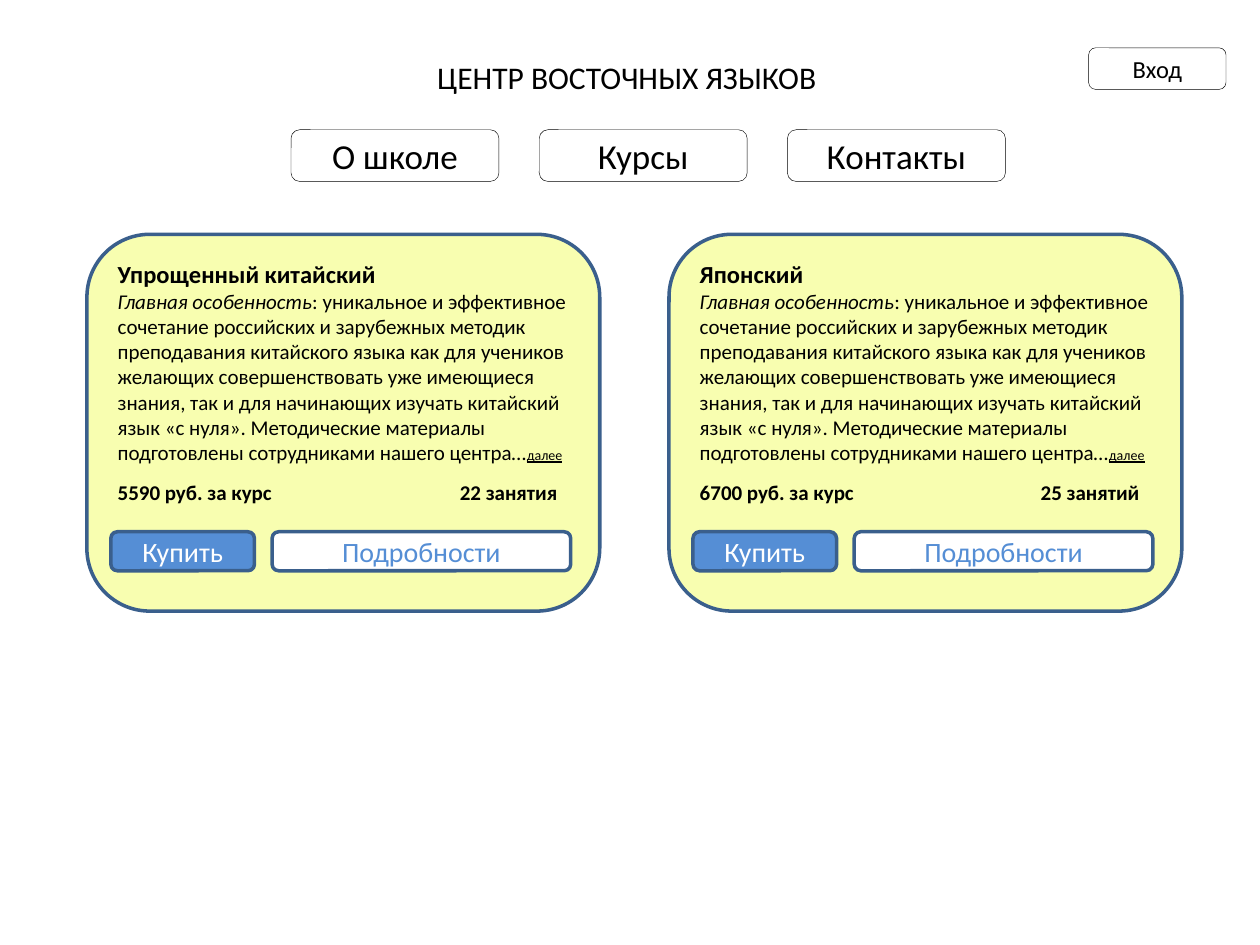
from dataclasses import dataclass

from lxml.etree import SubElement
from pptx import Presentation
from pptx.dml.color import RGBColor
from pptx.enum.shapes import MSO_SHAPE as Shape
from pptx.enum.text import MSO_ANCHOR as Anchor, MSO_AUTO_SIZE as AutoSize, PP_ALIGN as Align
from pptx.oxml.ns import qn
from pptx.util import Inches, Pt


@dataclass(frozen=True)
class Theme:
    font: str = "Calibri"
    black: str = "000000"
    white: str = "FFFFFF"
    card: str = "F8FEB0"
    border: str = "3A5F8C"
    accent: str = "558ED5"
    title_size: int = 18
    menu_size: int = 20
    button_size: int = 16
    heading_size: int = 14
    body_size: int = 12
    link_size: int = 8
    thin: float = 0.25
    thick: float = 2


THEME = Theme()
MENU = [("О школе", 1.65), ("Курсы", 1.65), ("Контакты", 1.73)]
FEATURE = "Главная особенность"
DESCRIPTION = (
    ": уникальное и эффективное сочетание российских и зарубежных методик "
    "преподавания китайского языка как для учеников желающих совершенствовать "
    "уже имеющиеся знания, так и для начинающих изучать китайский язык «с нуля». "
    "Методические материалы подготовлены сотрудниками нашего центра…"
)
COURSES = [
    ("Упрощенный китайский", "5590 руб. за курс", "22 занятия"),
    ("Японский", "6700 руб. за курс", "25 занятий"),
]


def add_text(paragraph, text, size=THEME.body_size, color=THEME.black,
             bold=False, italic=False, underline=False):
    run = paragraph.add_run()
    run.text = text
    font = run.font
    font.name, font.size = THEME.font, Pt(size)
    font.bold, font.italic, font.underline = bold, italic, underline
    font.color.rgb = RGBColor.from_string(color)


def add_box(slide, left, top, width, height, fill, line, line_width):
    """Add a rounded rectangle and return its text frame; lengths in inches."""
    shape = slide.shapes.add_shape(Shape.ROUNDED_RECTANGLE, Inches(left), Inches(top),
                                   Inches(width), Inches(height))
    shape.shadow.inherit = False
    shape.fill.solid()
    shape.fill.fore_color.rgb = RGBColor.from_string(fill)
    shape.line.color.rgb = RGBColor.from_string(line)
    shape.line.width = Pt(line_width)
    shape.text_frame.word_wrap = True
    return shape.text_frame


def add_button(slide, text, left, top, width, height, size, color=THEME.black,
               fill=THEME.white, line=THEME.black, line_width=THEME.thin):
    frame = add_box(slide, left, top, width, height, fill, line, line_width)
    frame.vertical_anchor = Anchor.MIDDLE
    paragraph = frame.paragraphs[0]
    paragraph.alignment = Align.CENTER
    add_text(paragraph, text, size=size, color=color)


def add_right_tab(paragraph, position):
    tabs = SubElement(paragraph._p.get_or_add_pPr(), qn("a:tabLst"))
    SubElement(tabs, qn("a:tab"), pos=str(Inches(position)), algn="r")


def place_title(slide, left, top, width, height):
    title = slide.shapes.title
    title.left, title.top = Inches(left), Inches(top)
    title.width, title.height = Inches(width), Inches(height)
    frame = title.text_frame
    frame.word_wrap = False
    frame.auto_size = AutoSize.SHAPE_TO_FIT_TEXT
    frame.vertical_anchor = Anchor.TOP
    paragraph = frame.paragraphs[0]
    paragraph.alignment = Align.LEFT
    add_text(paragraph, "ЦЕНТР ВОСТОЧНЫХ ЯЗЫКОВ", size=THEME.title_size)


def add_menu(slide, left, top, height, gap):
    for text, width in MENU:
        add_button(slide, text, left, top, width, height, THEME.menu_size)
        left += width + gap


def add_course_card(slide, left, top, width, height, course):
    name, price, lessons = course
    frame = add_box(slide, left, top, width, height, THEME.card, THEME.border, THEME.thick)
    frame.vertical_anchor = Anchor.TOP
    heading, body, terms = frame.paragraphs[0], frame.add_paragraph(), frame.add_paragraph()
    for paragraph in (heading, body, terms):
        paragraph.alignment = Align.LEFT

    add_text(heading, name, size=THEME.heading_size, bold=True)
    add_text(body, FEATURE, italic=True)
    add_text(body, DESCRIPTION)
    add_text(body, "далее", size=THEME.link_size, underline=True)
    terms.space_before = Pt(8.5)
    add_right_tab(terms, 3.49)
    add_text(terms, f"{price}\t{lessons}", bold=True)

    row_top, row_height = top + 2.36, 0.31
    border = {"line": THEME.border, "line_width": THEME.thick}
    add_button(slide, "Купить", left + 0.19, row_top, 1.14, row_height, THEME.button_size,
               color=THEME.white, fill=THEME.accent, **border)
    add_button(slide, "Подробности", left + 1.47, row_top, 2.37, row_height,
               THEME.button_size, color=THEME.accent, **border)


def main():
    presentation = Presentation()
    presentation.slide_width, presentation.slide_height = Inches(10), Inches(7.5)
    slide = presentation.slides.add_slide(presentation.slide_layouts.get_by_name("Title Only"))

    place_title(slide, 3.37, 0.41, 3.24, 0.4)
    add_button(slide, "Вход", 8.64, 0.38, 1.09, 0.33, THEME.heading_size)
    add_menu(slide, 2.31, 1.03, 0.41, gap=0.32)
    card_width, card_gap = 4.07, 0.55
    for index, course in enumerate(COURSES):
        left = 0.69 + index * (card_width + card_gap)
        add_course_card(slide, left, 1.86, card_width, 2.99, course)

    presentation.save("out.pptx")


if __name__ == "__main__":
    main()
